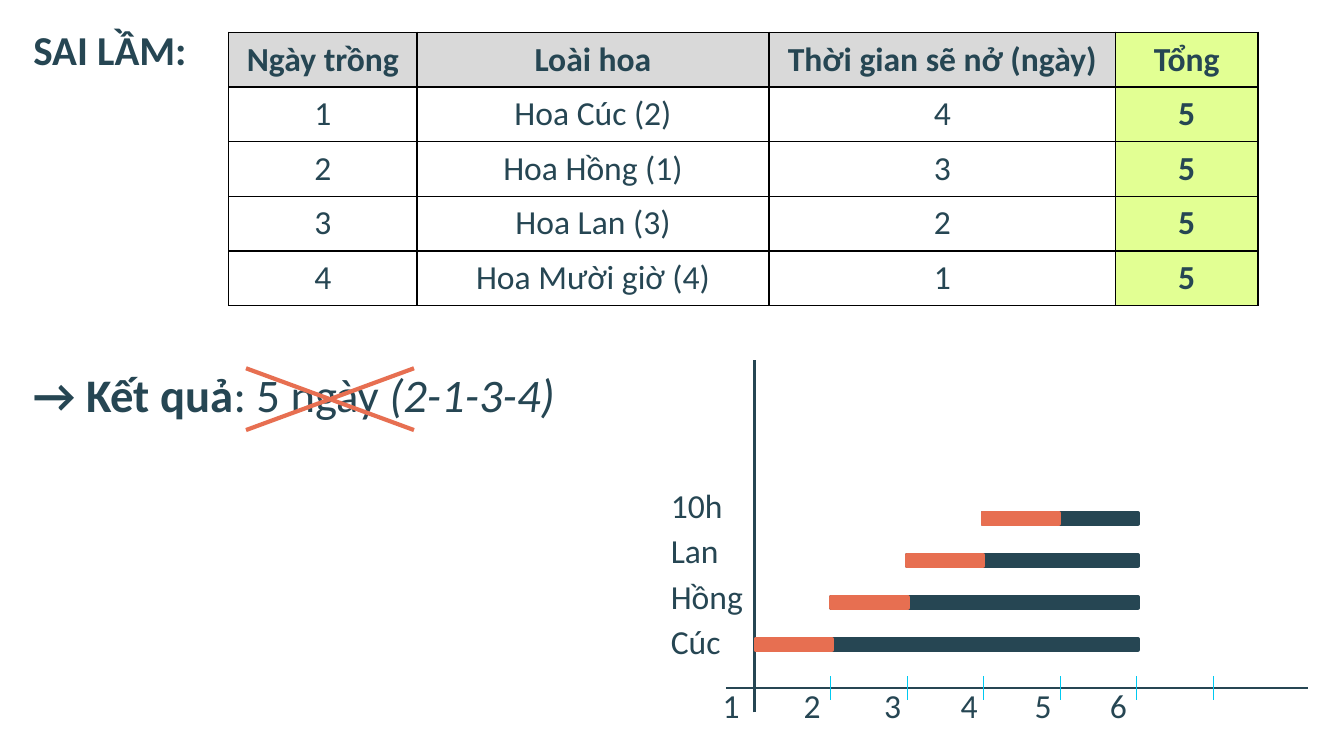
from lxml.etree import SubElement
from pptx import Presentation
from pptx.dml.color import RGBColor
from pptx.enum.shapes import MSO_CONNECTOR, MSO_SHAPE
from pptx.enum.text import MSO_ANCHOR, MSO_AUTO_SIZE, PP_ALIGN
from pptx.oxml.ns import qn
from pptx.util import Pt

NAVY = RGBColor(0x26, 0x46, 0x53)
CORAL = RGBColor(0xE7, 0x6F, 0x51)
CYAN = RGBColor(0x00, 0xC9, 0xF1)
GREY = RGBColor(0xD9, 0xD9, 0xD9)
LIME = RGBColor(0xE2, 0xFF, 0x93)
WHITE = RGBColor(0xFF, 0xFF, 0xFF)

# Content
HEADING = [("SAI LẦM:", {"bold": True})]
RESULT = [("→ Kết quả", {"bold": True}), (": 5 ngày ", {}), ("(2-1-3-4)", {"italic": True})]
FLOWERS = [
    ("Ngày trồng", "Loài hoa", "Thời gian sẽ nở (ngày)"),
    ("1", "Hoa Cúc (2)", "4"),
    ("2", "Hoa Hồng (1)", "3"),
    ("3", "Hoa Lan (3)", "2"),
    ("4", "Hoa Mười giờ (4)", "1"),
]
TOTALS = [("Tổng",)] + [("5",)] * 4
PLANTINGS = ["Cúc", "Hồng", "Lan", "10h"]  # planted on day 1, 2, 3, 4
DAY_LABELS = [("1", 380), ("2", 423.4), ("3", 466.6), ("4", 507.6), ("5", 547.2), ("6", 587.5)]

# Layout in points
TABLE_TOP, ROW_HEIGHT = 17.3, 29.3
AXIS_X, AXIS_Y, DAY_WIDTH, LAST_DAY = 404, 368.6, 41, 6
BAR_TOP, BAR_STEP, BAR_HEIGHT = 342.3, 22.5, 5.8
LABEL_TOP, LABEL_STEP = 329, 24.25
TICK_TOP, TICK_HEIGHT, TICK_COUNT = 362, 13, 6

presentation = Presentation()
presentation.slide_width, presentation.slide_height = Pt(720), Pt(405)
slide = presentation.slides.add_slide(presentation.slide_layouts[6])


def add_runs(paragraph, runs, size):
    for text, formats in runs:
        run = paragraph.add_run()
        run.text = text
        run.font.color.rgb = NAVY
        for name, value in {"name": "Calibri", "size": Pt(size), "bold": False, **formats}.items():
            setattr(run.font, name, value)


def add_text(runs, left, top, width, height, size=18):
    frame = slide.shapes.add_textbox(Pt(left), Pt(top), Pt(width), Pt(height)).text_frame
    frame.word_wrap = True
    frame.auto_size = MSO_AUTO_SIZE.SHAPE_TO_FIT_TEXT
    add_runs(frame.paragraphs[0], runs, size)


def add_line(x1, y1, x2, y2, color, width):
    line = slide.shapes.add_connector(MSO_CONNECTOR.STRAIGHT, Pt(x1), Pt(y1), Pt(x2), Pt(y2))
    line.line.color.rgb, line.line.width = color, Pt(width)
    SubElement(line._element.spPr, qn("a:effectLst"))


def add_bar(left, top, width, color):
    bar = slide.shapes.add_shape(MSO_SHAPE.RECTANGLE, Pt(left), Pt(top), Pt(width), Pt(BAR_HEIGHT))
    bar.shadow.inherit = False
    bar.fill.solid()
    bar.fill.fore_color.rgb = bar.line.color.rgb = color
    bar.line.width = Pt(2)


def add_borders(cell):
    properties = cell._tc.get_or_add_tcPr()
    for index, side in enumerate(("a:lnL", "a:lnR", "a:lnT", "a:lnB")):
        border = properties.makeelement(qn(side), {"w": str(Pt(0.75))})
        SubElement(SubElement(border, qn("a:solidFill")), qn("a:srgbClr"), val="000000")
        properties.insert(index, border)


def add_grid(rows, left, column_widths, header_fill, body_fill, body_bold):
    table = slide.shapes.add_table(
        len(rows), len(column_widths), Pt(left), Pt(TABLE_TOP),
        Pt(sum(column_widths)), Pt(ROW_HEIGHT * len(rows))).table
    for column, width in zip(table.columns, column_widths):
        column.width = Pt(width)
    for r, row in enumerate(rows):
        table.rows[r].height = Pt(ROW_HEIGHT)
        for c, text in enumerate(row):
            cell = table.cell(r, c)
            cell.fill.solid()
            cell.fill.fore_color.rgb = body_fill if r else header_fill
            cell.vertical_anchor = MSO_ANCHOR.TOP
            add_borders(cell)
            paragraph = cell.text_frame.paragraphs[0]
            paragraph.alignment = PP_ALIGN.CENTER
            add_runs(paragraph, [(text, {"bold": r == 0 or body_bold})], 18)


# Heading and tables
add_text(HEADING, 10.8, 9.4, 120, 34, 22)
add_grid(FLOWERS, 122.6, [100.8, 188.6, 185.8], GREY, WHITE, False)
add_grid(TOTALS, 597.6, [76.3], LIME, LIME, True)

# Crossed-out result
add_text(RESULT, 10.8, 192.2, 312.5, 37.5, 25)
for start, end in ((131.8, 221.8), (221.8, 131.8)):
    add_line(start, 197.3, end, 230.4, CORAL, 2.25)

# Timeline axes and ticks
add_line(388.8, AXIS_Y, 700.6, AXIS_Y, NAVY, 1.5)
add_line(AXIS_X, 381.6, AXIS_X, 193, NAVY, 1.5)
for tick in range(1, TICK_COUNT + 1):
    x = AXIS_X + tick * DAY_WIDTH
    add_line(x, TICK_TOP + TICK_HEIGHT, x, TICK_TOP, CYAN, 0.75)
for text, left in DAY_LABELS:
    add_text([(text, {})], left, 363.4, 25.2, 29)

# Planting day (coral) over the whole span (navy), one row per flower
for index, flower in enumerate(PLANTINGS):
    left = AXIS_X + 0.8 + index * (DAY_WIDTH - 0.5)
    top = BAR_TOP - index * BAR_STEP
    end = AXIS_X + (LAST_DAY - 1) * DAY_WIDTH + 0.7
    add_bar(left, top, end - left, NAVY)
    add_bar(left, top, DAY_WIDTH, CORAL)
    add_text([(flower, {})], 352.3, LABEL_TOP - index * LABEL_STEP, 55.4, 29)

presentation.save("out.pptx")
